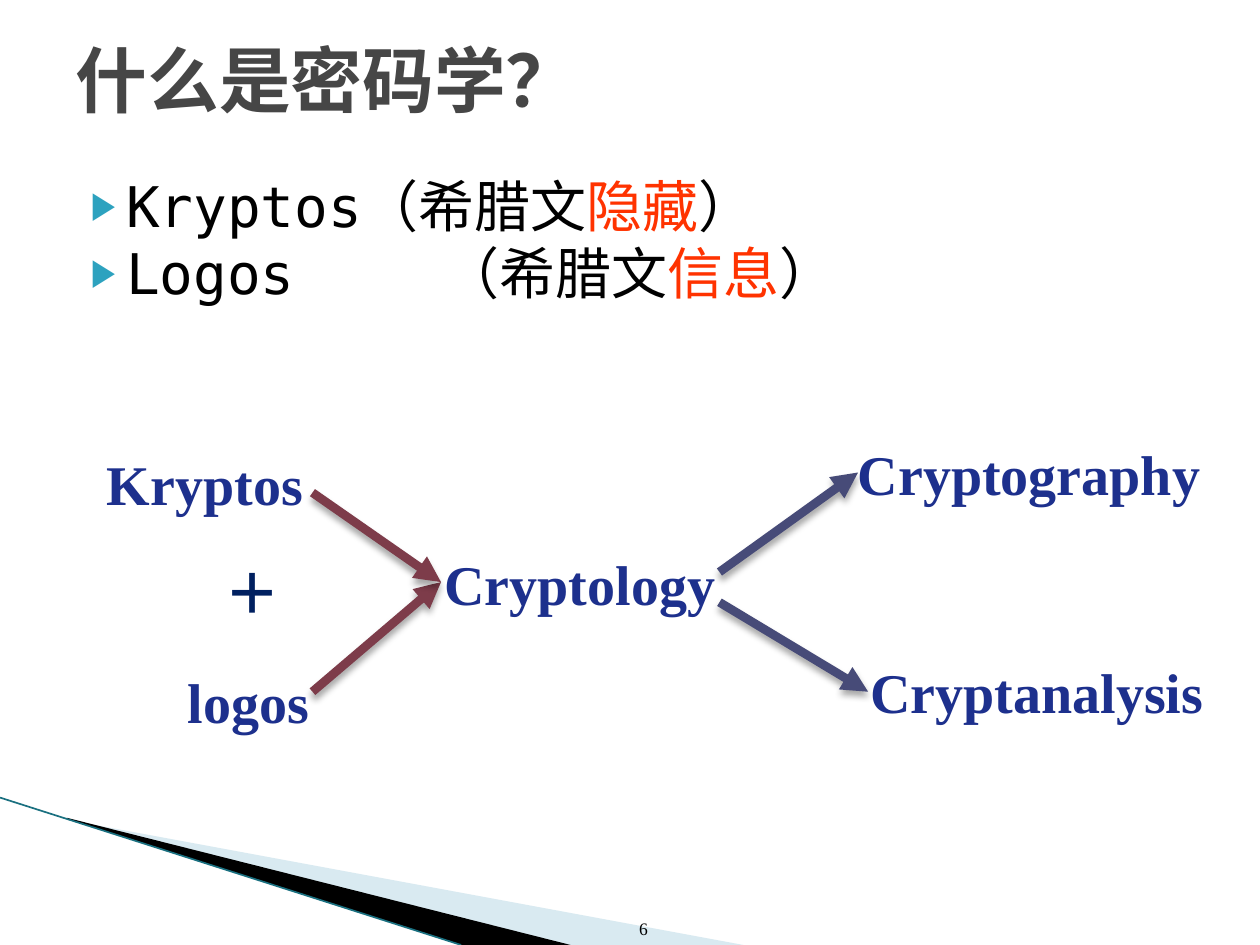
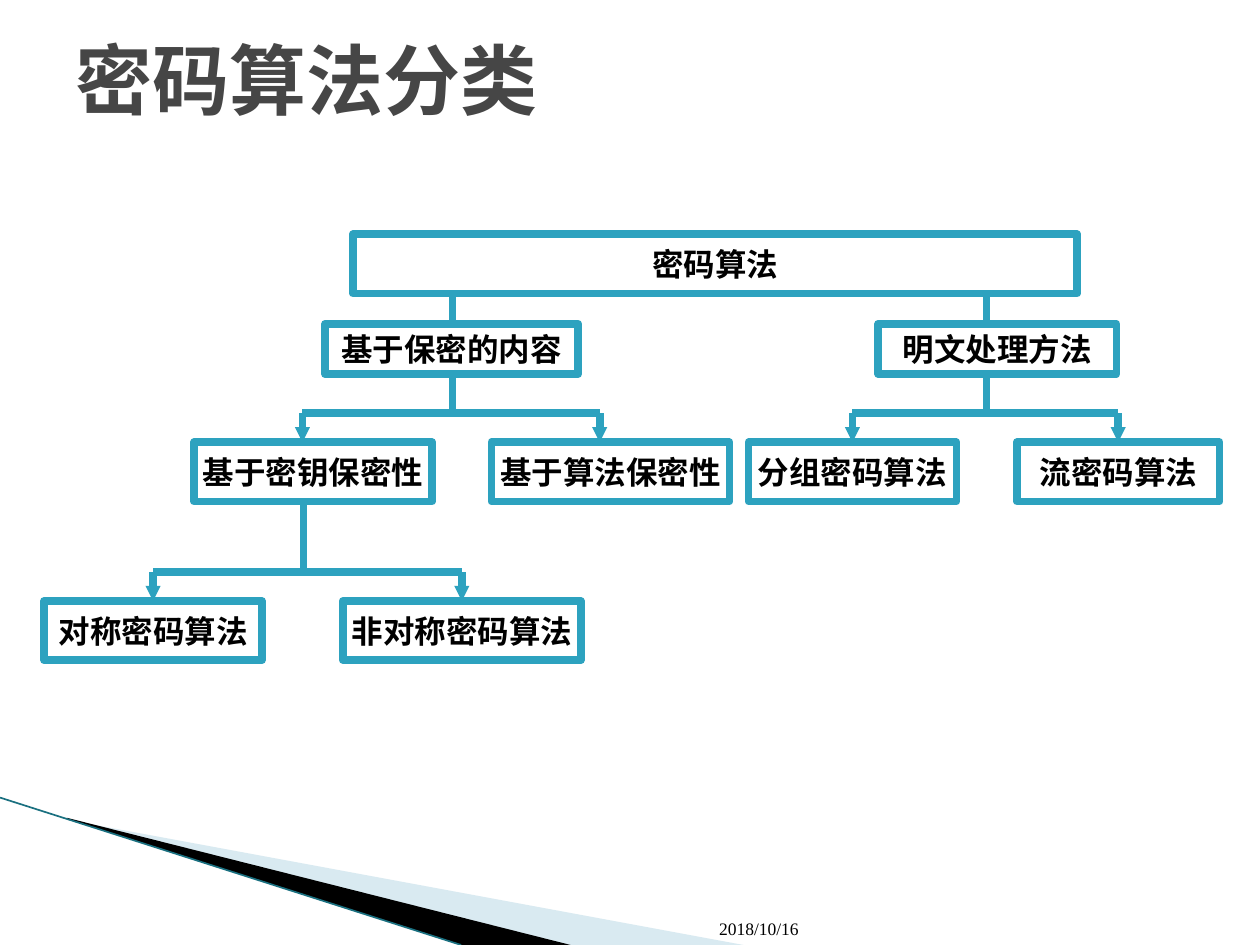
from lxml import etree
from pptx import Presentation
from pptx.dml.color import RGBColor
from pptx.enum.shapes import MSO_CONNECTOR, MSO_SHAPE
from pptx.enum.text import MSO_ANCHOR, PP_ALIGN
from pptx.oxml.ns import qn
from pptx.util import Inches, Pt

COLORS = {
    "title": "464646", "text": "000000", "accent": "FF3300", "teal": "2DA2BF",
    "term": "1D308D", "plus": "002060", "merge": "7D3C4A", "branch": "474B78",
    "pale_band": "A0CBDC", "band": "000000", "band_edge": "1A7080", "paper": "FFFFFF",
}
MONO = "DejaVu Sans Mono"
SERIF = "Times New Roman"
TOP = 0


def rgb(name):
    return RGBColor.from_string(COLORS[name])


def add_xml(parent, tag, **attributes):
    return etree.SubElement(parent, qn(tag), {key: str(value) for key, value in attributes.items()})


class Deck:
    def __init__(self):
        self.presentation = Presentation()
        self.presentation.slide_width = Inches(10)
        self.presentation.slide_height = Inches(7.5)
        self.slide = None

    def start(self, layout, title_runs, size):
        self.slide = self.presentation.slides.add_slide(self.presentation.slide_layouts[layout])
        self.band([(0.55, 6.51), (5.9, 7.5), (4.52, 7.5), (0.55, 6.5)], "pale_band", 40)
        self.band([(0.53, 6.49), (4.53, 7.5), (3.66, 7.5), (0.54, 6.5)], "band")
        self.line((0, 6.33), (3.66, 7.5), "band_edge", 0.95)
        title = self.slide.shapes.title
        self.place(title, 0.5, 0, 9, 1.25)
        title.text_frame.vertical_anchor = MSO_ANCHOR.MIDDLE
        paragraph = title.text_frame.paragraphs[0]
        paragraph.alignment = PP_ALIGN.LEFT
        for text, font in title_runs:
            self.run(paragraph, text, size, font, "title", True)

    def place(self, shape, left, top, width, height):
        shape.left, shape.top = Inches(left), Inches(top)
        shape.width, shape.height = Inches(width), Inches(height)

    def style(self, run, size, font, color, bold=False):
        run.font.size = Pt(size)
        run.font.name = font
        run.font.bold = bold
        run.font.color.rgb = rgb(color)

    def run(self, paragraph, text, size, font, color, bold=False):
        run = paragraph.add_run()
        run.text = text
        self.style(run, size, font, color, bold)

    def band(self, corners, color, opacity=100):
        points = [(Inches(x), Inches(y)) for x, y in corners]
        builder = self.slide.shapes.build_freeform(*points[0])
        builder.add_line_segments(points[1:], close=True)
        band = builder.convert_to_shape()
        band.shadow.inherit = False
        band.fill.solid()
        band.fill.fore_color.rgb = rgb(color)
        band.line.fill.background()
        if opacity < 100:
            tint = band.fill._xPr.find(".//" + qn("a:srgbClr"))
            add_xml(tint, "a:alpha", val=opacity * 1000)

    def line(self, start, end, color, width, head=None, shadow=False, target=None):
        line = self.slide.shapes.add_connector(
            MSO_CONNECTOR.STRAIGHT, *(Inches(value) for value in (*start, *end)))
        line.line.color.rgb = rgb(color)
        line.line.width = Pt(width)
        if target is not None:
            line.end_connect(target, TOP)
        if head:
            add_xml(line.line._get_or_add_ln(), "a:tailEnd", type="triangle", w=head, len=head)
        effects = add_xml(line._element.spPr, "a:effectLst")
        if shadow:
            outer = add_xml(effects, "a:outerShdw", blurRad=Pt(4), dist=Pt(3),
                            dir=90 * 60000, rotWithShape=0)
            add_xml(add_xml(outer, "a:srgbClr", val="000000"), "a:alpha", val=35000)

    def text(self, text, left, top, width, height, size, color, bold=False,
             align=PP_ALIGN.LEFT, anchor=MSO_ANCHOR.TOP):
        label = self.slide.shapes.add_textbox(
            Inches(left), Inches(top), Inches(width), Inches(height))
        frame = label.text_frame
        frame.text = text
        frame.word_wrap = True
        frame.vertical_anchor = anchor
        frame.paragraphs[0].alignment = align
        self.style(frame.paragraphs[0].runs[0], size, SERIF, color, bold)

    def term(self, text, left, top, width, color="term"):
        self.text(text, left, top, width, 0.63, 32, color, bold=True)

    def footer(self, text, left, width, align=PP_ALIGN.LEFT):
        self.text(text, left, 7.01, width, 0.49, 10, "text", align=align, anchor=MSO_ANCHOR.BOTTOM)

    def bullets(self, items, tab):
        body = self.slide.placeholders[1]
        self.place(body, 0.5, 1.32, 9, 5.67)
        frame = body.text_frame
        for index, parts in enumerate(items):
            paragraph = frame.add_paragraph() if index else frame.paragraphs[0]
            properties = paragraph._p.get_or_add_pPr()
            properties.set("marL", str(Inches(0.4)))
            properties.set("indent", str(Inches(-0.28)))
            add_xml(add_xml(properties, "a:buClr"), "a:srgbClr", val=COLORS["teal"])
            add_xml(properties, "a:buSzPct", val=68000)
            add_xml(properties, "a:buChar", char="▶")
            add_xml(add_xml(properties, "a:tabLst"), "a:tab", pos=Inches(tab), algn="l")
            paragraph.space_before = Pt(0)
            paragraph.line_spacing = Pt(38)
            for text, color in parts:
                self.run(paragraph, text, 32, MONO, color)

    def box(self, text, left, top, width, height=0.47):
        box = self.slide.shapes.add_shape(
            MSO_SHAPE.RECTANGLE, Inches(left), Inches(top), Inches(width), Inches(height))
        box.shadow.inherit = False
        box.fill.solid()
        box.fill.fore_color.rgb = rgb("paper")
        box.line.color.rgb = rgb("teal")
        box.line.width = Pt(4.33)
        frame = box.text_frame
        frame.text = text
        frame.word_wrap = False
        frame.vertical_anchor = MSO_ANCHOR.MIDDLE
        frame.paragraphs[0].alignment = PP_ALIGN.CENTER
        self.style(frame.paragraphs[0].runs[0], 18, MONO, "text", True)
        return box

    def fork(self, trunk, trunk_top, children_top, children):
        bar = children_top - 0.23
        drops = []
        for text, left, width, drop in children:
            child = self.box(text, left, children_top, width)
            x = drop or left + width / 2
            self.line((x, bar), (x, children_top), "teal", 4.33, head="sm",
                      target=None if drop else child)
            drops.append(x)
        self.line((drops[0], bar), (drops[-1], bar), "teal", 4.33)
        self.line((trunk, trunk_top), (trunk, bar), "teal", 4.33)


def cryptology_slide(deck):
    deck.start(1, [("什么是密码学？", MONO)], 41)
    deck.bullets([
        [("Kryptos（希腊文", "text"), ("隐藏", "accent"), ("）", "text")],
        [("Logos\t（希腊文", "text"), ("信息", "accent"), ("）", "text")],
    ], tab=2.92)
    deck.footer("6", 4.68, 0.56, PP_ALIGN.RIGHT)
    deck.term("Kryptos", 0.75, 3.52, 1.9)
    deck.term("logos", 1.39, 5.25, 1.3)
    deck.term("Cryptology", 3.43, 4.31, 2.5)
    deck.term("＋", 1.68, 4.38, 0.8, "plus")
    deck.term("Cryptography", 6.71, 3.44, 3.05)
    deck.term("Cryptanalysis", 6.81, 5.17, 3)
    for start, end, color in (
        ((2.48, 5.49), (3.5, 4.62), "merge"),
        ((2.48, 3.91), (3.5, 4.62), "merge"),
        ((5.71, 4.54), (6.81, 3.75), "branch"),
        ((5.71, 4.78), (6.89, 5.49), "branch"),
    ):
        deck.line(start, end, color, 5, head="med", shadow=True)


def classification_slide(deck):
    deck.start(5, [("密码算法", SERIF), ("分类", MONO)], 44)
    deck.footer("2018/10/16", 5.61, 1.12)
    deck.box("密码算法", 2.8, 1.86, 5.75)
    deck.fork(3.59, 2.33, 3.51, [
        ("基于密钥保密性", 1.54, 1.89, 2.4), ("基于算法保密性", 3.9, 1.89, 4.76)])
    deck.fork(7.83, 2.33, 3.51, [
        ("分组密码算法", 5.94, 1.65, None), ("流密码算法", 8.07, 1.61, None)])
    deck.fork(2.41, 3.98, 4.77, [
        ("对称密码算法", 0.35, 1.73, None), ("非对称密码算法", 2.72, 1.89, None)])
    deck.box("基于保密的内容", 2.58, 2.57, 2.01, 0.4)
    deck.box("明文处理方法", 6.97, 2.57, 1.89, 0.4)


def main():
    deck = Deck()
    cryptology_slide(deck)
    classification_slide(deck)
    deck.presentation.save("out.pptx")


if __name__ == "__main__":
    main()
